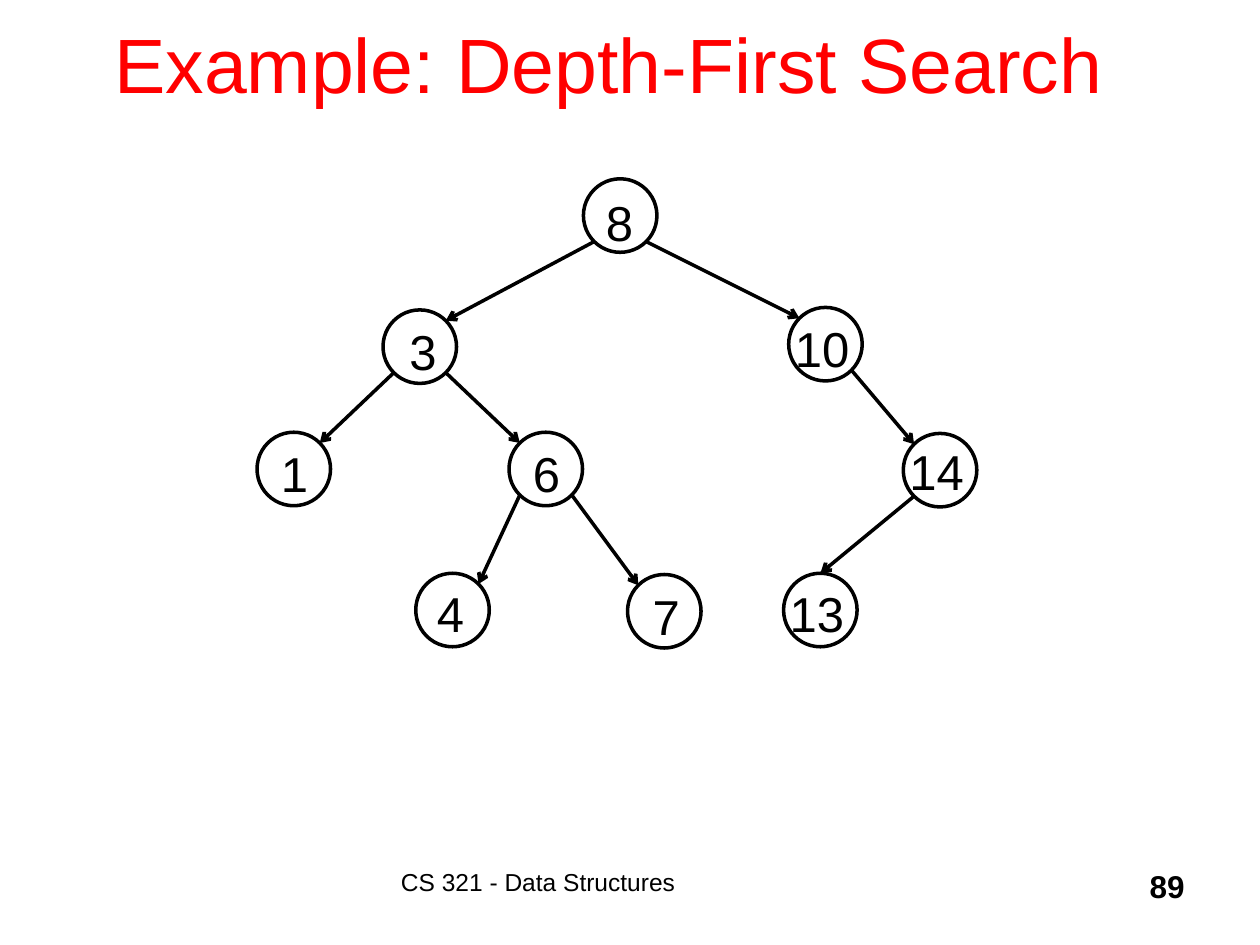
from dataclasses import dataclass
from math import sqrt
from typing import Any

from lxml import etree
from pptx import Presentation
from pptx.dml.color import RGBColor
from pptx.enum import shapes, text
from pptx.oxml.ns import qn
from pptx.util import Pt

COLORS = {"title": "FF0000", "ink": "000000"}
DIAMETER = 42
RADIUS = DIAMETER / 2
DIAGONAL = RADIUS / sqrt(2)

NODES = {
    8: (333.4, 102.2),
    3: (218.9, 177.1),
    10: (450.7, 175.7),
    1: (146.9, 247),
    6: (290.9, 247),
    14: (516.2, 247.7),
    4: (237.6, 327.6),
    7: (358.6, 328.3),
    13: (447.8, 327.6),
}
LABELS = {
    8: (339.1, 103.7, 30),
    3: (226.8, 177.1, 27),
    10: (447.1, 175.7, 49),
    1: (153.4, 247, 33),
    6: (297.4, 247, 29),
    14: (512.6, 245.5, 49),
    4: (242.6, 326.9, 27),
    7: (365.8, 328.3, 29),
    13: (444.2, 326.9, 52),
}
EDGES = [(8, 3), (8, 10), (3, 1), (3, 6), (10, 14), (6, 4), (6, 7), (14, 13)]
TOP_ENTRY = {13}


@dataclass
class Deck:
    s: Any
    font: str = "Arial"
    line_width: float = 2

    def style(self, p, size, color="ink", bold=False, align=text.PP_ALIGN.LEFT):
        p.alignment = align
        p.font.name = self.font
        p.font.size = Pt(size)
        p.font.bold = bold
        p.font.color.rgb = RGBColor.from_string(COLORS[color])

    def outline(self, line):
        line.color.rgb = RGBColor.from_string(COLORS["ink"])
        line.width = Pt(self.line_width)

    def title(self, words, x, y, w, h):
        sp = self.s.shapes.title
        sp.left, sp.top, sp.width, sp.height = Pt(x), Pt(y), Pt(w), Pt(h)
        tf = sp.text_frame
        tf.text = words
        tf.vertical_anchor = text.MSO_ANCHOR.MIDDLE
        self.style(tf.paragraphs[0], 44, "title", align=text.PP_ALIGN.CENTER)

    def label(self, words, x, y, w, h, size, inset=3.6, **kw):
        tf = self.s.shapes.add_textbox(Pt(x), Pt(y), Pt(w), Pt(h)).text_frame
        tf.word_wrap = True
        tf.margin_top = Pt(inset)
        tf.text = words
        self.style(tf.paragraphs[0], size, **kw)

    def node(self, x, y):
        sp = self.s.shapes.add_shape(
            shapes.MSO_SHAPE.OVAL, Pt(x), Pt(y), Pt(DIAMETER), Pt(DIAMETER))
        sp.shadow.inherit = False
        sp.fill.background()
        self.outline(sp.line)

    def arrow(self, x1, y1, x2, y2):
        c = self.s.shapes.add_connector(
            shapes.MSO_CONNECTOR.STRAIGHT, Pt(x1), Pt(y1), Pt(x2), Pt(y2))
        self.outline(c.line)
        ln = c.line._get_or_add_ln()
        etree.SubElement(ln, qn("a:tailEnd"), type="arrow")
        etree.SubElement(c._element.spPr, qn("a:effectLst"))

    def edge(self, parent, child):
        (px, py), (cx, cy) = (
            (x + RADIUS, y + RADIUS) for x, y in (NODES[parent], NODES[child]))
        dx = DIAGONAL if cx > px else -DIAGONAL
        end = (cx, cy - RADIUS) if child in TOP_ENTRY else (cx - dx, cy - DIAGONAL)
        self.arrow(px + dx, py + DIAGONAL, *end)


def main():
    prs = Presentation()
    prs.slide_width, prs.slide_height = Pt(720), Pt(540)
    deck = Deck(prs.slides.add_slide(prs.slide_layouts[5]))

    deck.title("Example: Depth-First Search", 30, -9, 636, 90)
    deck.label("CS 321 - Data Structures", 222, 492, 276, 36, 14)
    deck.label("89", 534, 492, 150, 36, 18, bold=True, align=text.PP_ALIGN.RIGHT)

    for value, (x, y, w) in LABELS.items():
        deck.label(str(value), x, y, w, 41.5, 28, inset=6.6)
    for parent, child in EDGES:
        deck.edge(parent, child)
    for x, y in NODES.values():
        deck.node(x, y)

    prs.save("out.pptx")


if __name__ == "__main__":
    main()
